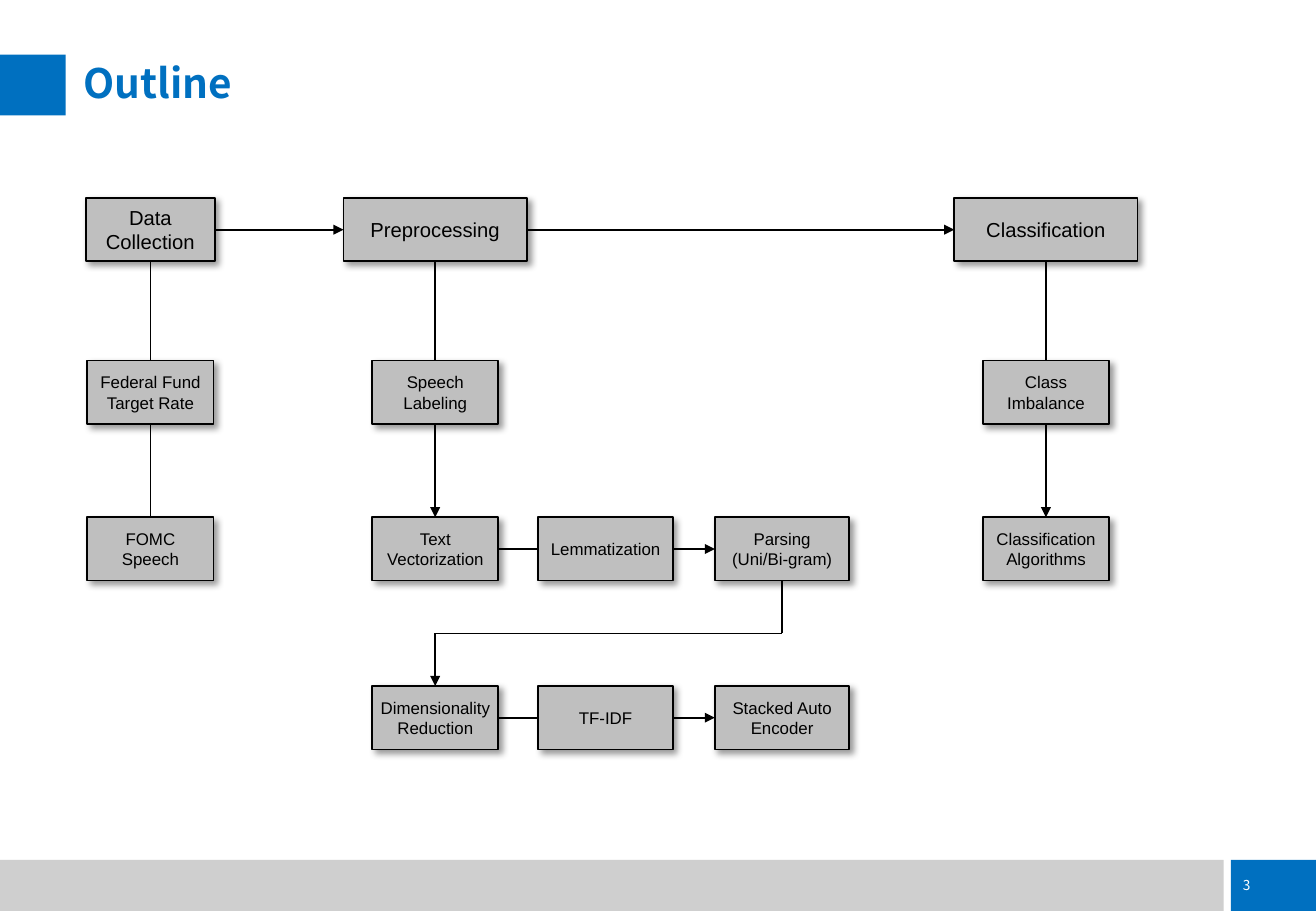
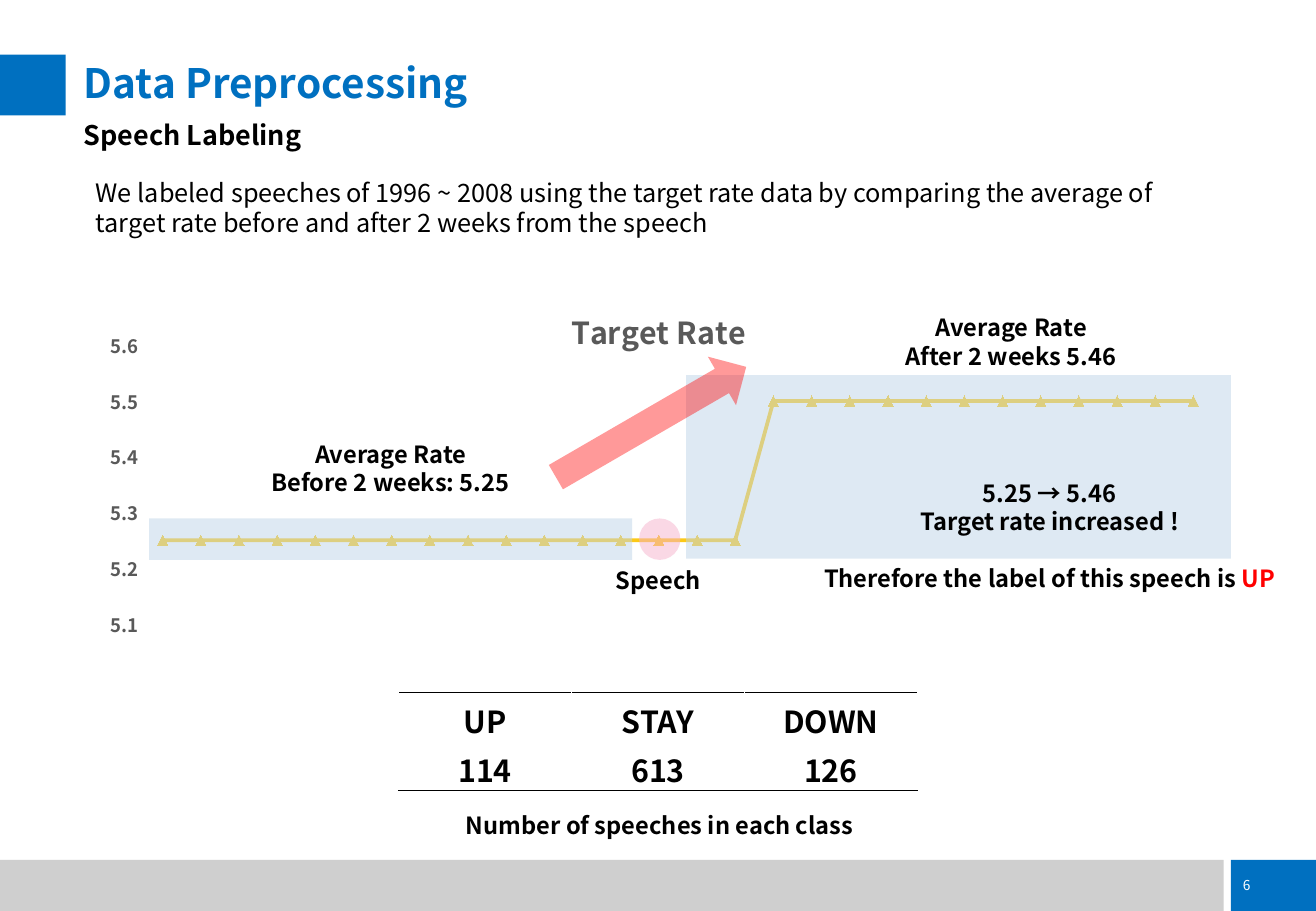
import pptx
import pptx.util
import pptx.dml.color
import pptx.chart.data
import pptx.enum.chart
import pptx.enum.dml
import pptx.enum.shapes
import pptx.enum.text
import pptx.oxml
import pptx.oxml.ns

SHAPE = pptx.enum.shapes.MSO_SHAPE
ALIGN = pptx.enum.text.PP_ALIGN
ANCHOR = pptx.enum.text.MSO_ANCHOR
FIT = pptx.enum.text.MSO_AUTO_SIZE
Pt = pptx.util.Pt
NS = pptx.oxml.ns.nsdecls("a", "c")

# Shared look
WIDE, HIGH = 10.83, 7.5
BLUE, BAND, GREY, INK, WHITE = "0070C0", "CFCFCF", "BFBFBF", "000000", "FFFFFF"
PALE, PINK, GOLD, RED, DIM = "BFD5E9", "F6B2CC", "FCC917", "FF0000", "595959"
SANS, ARIAL = "Noto Sans CJK KR", "Arial"
BOLD = {"name": SANS, "size": Pt(14), "bold": True}


def tint(hue):
    return pptx.dml.color.RGBColor.from_string(hue)


def fix(item, vals):
    for key, val in vals.items():
        setattr(item, key, val)


def emu(box):
    return [pptx.util.Inches(val) for val in box]


def part(box, left, top, wide, high):
    """Box at percent shares of another box."""
    x, y, w, h = box
    return x + w * left / 100, y + h * top / 100, w * wide / 100, h * high / 100


def node(tag, attrs="", body=""):
    return pptx.oxml.parse_xml(f"<{tag} {NS} {attrs}>{body}</{tag}>")


def ink(font, form, hue):
    fix(font, form)
    font.color.rgb = tint(hue)


def put(frame, lines, form, hue=INK, align=ALIGN.CENTER):
    """Fill a text frame, one paragraph a line."""
    for num, line in enumerate(lines):
        para = frame.add_paragraph() if num else frame.paragraphs[0]
        para.alignment = align
        run = para.add_run()
        run.text = line
        ink(run.font, form, hue)
    return frame


def block(slide, kind, box, hue, clear=None):
    shape = slide.shapes.add_shape(kind, *emu(box))
    shape.shadow.inherit = False
    shape.fill.solid()
    shape.fill.fore_color.rgb = tint(hue)
    shape.line.fill.background()
    if clear:
        shade = shape.element.spPr.find(".//" + pptx.oxml.ns.qn("a:srgbClr"))
        shade.append(node("a:alpha", f'val="{clear * 1000}"'))
    return shape


def label(slide, box, lines, form=BOLD, hue=INK, align=ALIGN.CENTER, **opts):
    frame = slide.shapes.add_textbox(*emu(box)).text_frame
    fix(frame, {"word_wrap": True, "auto_size": FIT.SHAPE_TO_FIT_TEXT, **opts})
    return put(frame, lines, form, hue, align)


def base(deck, title, page):
    """Bands, title and page number of every slide."""
    slide = deck.slides.add_slide(deck.slide_layouts[6])
    block(slide, SHAPE.RECTANGLE, (0, 7.08, 10.07, 0.42), BAND)
    badge = block(slide, SHAPE.RECTANGLE, (10.13, 7.08, 0.7, 0.42), BLUE)
    badge.text_frame.word_wrap = False
    put(badge.text_frame, [page], {"name": SANS, "size": Pt(8.1)}, WHITE, ALIGN.LEFT)
    block(slide, SHAPE.RECTANGLE, (0, 0.45, 0.54, 0.5), BLUE)
    head = label(slide, (0.69, 0.51, 9.76, 0.38), [title], {**BOLD, "size": Pt(24)},
                 BLUE, ALIGN.LEFT, **FLUSH)
    head.paragraphs[0].line_spacing = 0.9
    return slide


FLUSH = {"margin_left": 0, "margin_right": 0, "margin_top": 0, "margin_bottom": 0,
         "auto_size": FIT.NONE, "vertical_anchor": ANCHOR.MIDDLE}

# Flow grid: percent of the flow box
COLS = [6.1, 33.2, 49.4, 66.2, 91.3]
ROWS = [0, 29.5, 57.9, 88.5]
TALL = 11.5
# name: column, row, width, text size, lines
STEPS = {
    "data": (0, 0, 12.25, 12, ["Data Collection"]),
    "prep": (1, 0, 17.45, 12, ["Preprocessing"]),
    "class": (4, 0, 17.45, 12, ["Classification"]),
    "fund": (0, 1, 12, 10, ["Federal Fund Target Rate"]),
    "speech": (0, 2, 12, 10, ["FOMC Speech"]),
    "label": (1, 1, 12, 10, ["Speech Labeling"]),
    "vector": (1, 2, 12, 10, ["Text Vectorization"]),
    "lemma": (2, 2, 12.8, 10, ["Lemmatization"]),
    "gram": (3, 2, 12.8, 10, ["Parsing", "(Uni/Bi-gram)"]),
    "reduce": (1, 3, 12, 10, ["Dimensionality Reduction"]),
    "tfidf": (2, 3, 12.8, 10, ["TF-IDF"]),
    "coder": (3, 3, 12.8, 10, ["Stacked Auto Encoder"]),
    "skew": (4, 1, 12, 10, ["Class Imbalance"]),
    "algo": (4, 2, 12, 10, ["Classification Algorithms"]),
}
ACROSS = [("data", "prep", True), ("prep", "class", True),
          ("vector", "lemma", False), ("lemma", "gram", True),
          ("reduce", "tfidf", False), ("tfidf", "coder", True)]
DOWN = [("data", "fund", False), ("fund", "speech", False),
        ("prep", "label", False), ("label", "vector", True),
        ("class", "skew", False), ("skew", "algo", True)]


def side(shape, site):
    """Middle of a side: 0 top, 1 left, 2 bottom, 3 right."""
    dx, dy = [(1, 0), (0, 1), (1, 2), (2, 1)][site]
    return shape.left + shape.width * dx // 2, shape.top + shape.height * dy // 2


def link(slide, start, stop, arrow=False):
    """Line between ends, each a point or a (shape, site) pair."""
    held = [hasattr(end[0], "shape_id") for end in (start, stop)]
    spots = [side(*end) if on else end for end, on in zip((start, stop), held)]
    line = slide.shapes.add_connector(
        pptx.enum.shapes.MSO_CONNECTOR.STRAIGHT, *spots[0], *spots[1])
    if held[0]:
        line.begin_connect(*start)
    if held[1]:
        line.end_connect(*stop)
    line.line.width = Pt(1)
    line.line.color.rgb = tint(INK)
    if arrow:
        line.line._get_or_add_ln().append(node("a:tailEnd", 'type="triangle"'))
    line.element.spPr.append(node("a:effectLst"))


def flow(slide, box):
    """Flow chart of the steps."""
    made = {}
    for name, (col, row, wide, size, lines) in STEPS.items():
        spot = part(box, COLS[col] - wide / 2, ROWS[row], wide, TALL)
        step = made[name] = block(slide, SHAPE.RECTANGLE, spot, GREY)
        step.line.color.rgb = tint(INK)
        step.line.width = Pt(1)
        cast = step.element.spPr.find(pptx.oxml.ns.qn("a:effectLst"))
        cast.append(node(
            "a:outerShdw", f'blurRad="{Pt(4)}" dist="{Pt(3)}" dir="2700000" algn="tl" rotWithShape="0"',
            f'<a:srgbClr val="{INK}"><a:alpha val="40000"/></a:srgbClr>'))
        put(step.text_frame, lines, {"name": ARIAL, "size": Pt(size)})
    slim = pptx.util.Inches(0.06)
    fix(made["reduce"].text_frame, {"margin_left": slim, "margin_right": slim})

    # Links along rows and down columns
    for pairs, out, into in ((ACROSS, 3, 1), (DOWN, 2, 0)):
        for one, two, arrow in pairs:
            link(slide, (made[one], out), (made[two], into), arrow)

    # Return path from the third row to the fourth
    gram, low = made["gram"], made["reduce"]
    right, left = side(gram, 2)[0], side(low, 0)[0]
    mid = (side(gram, 2)[1] + side(low, 0)[1]) // 2
    link(slide, (gram, 2), (right, mid))
    link(slide, (left, mid), (right, mid))
    link(slide, (left, mid), (low, 0), True)


def layout(host, index, **vals):
    """Manual chart layout in shares of the chart."""
    for old in host.findall(pptx.oxml.ns.qn("c:layout")):
        host.remove(old)
    body = "".join(f'<c:{key} val="{val}"/>' for key, val in vals.items())
    host.insert(index, node("c:layout", "", f"<c:manualLayout>{body}</c:manualLayout>"))


def graph(slide, box):
    """Line chart of the target rate."""
    kinds = pptx.enum.chart
    data = pptx.chart.data.CategoryChartData()
    data.categories = [str(day) for day in range(1, 29)]
    data.add_series("Series 1", [5.25] * 16 + [5.5] * 12)
    chart = slide.shapes.add_chart(kinds.XL_CHART_TYPE.LINE_MARKERS, *emu(box), data).chart
    fix(chart, {"has_legend": False, "has_title": True})
    ink(chart.font, {"name": SANS, "size": Pt(10)}, INK)
    put(chart.chart_title.text_frame, ["Target Rate"], {**BOLD, "size": Pt(18)}, DIM)
    layout(chart.chart_title.element, 1, xMode="edge", yMode="edge", x=0.42, y=0.06)
    layout(chart.element.xpath(".//c:plotArea")[0], 0, layoutTarget="inner",
           xMode="edge", yMode="edge", x=0.052, y=0.16, w=0.932, h=0.618)

    fix(chart.category_axis, {"visible": False, "has_major_gridlines": False})
    axis = chart.value_axis
    none = kinds.XL_TICK_MARK.NONE
    fix(axis, {"minimum_scale": 5.1, "maximum_scale": 5.6, "major_unit": 0.1,
               "has_major_gridlines": False, "major_tick_mark": none, "minor_tick_mark": none})
    fix(axis.tick_labels, {"number_format": "0.0", "number_format_is_linked": False})
    ink(axis.tick_labels.font, {**BOLD, "size": Pt(11)}, DIM)
    axis.format.line.fill.background()

    chart.plots[0].vary_by_categories = False
    rate = chart.plots[0].series[0]
    rate.smooth = False
    rate.format.line.width = Pt(2.25)
    rate.format.line.color.rgb = tint(GOLD)
    fix(rate.marker, {"style": kinds.XL_MARKER_STYLE.TRIANGLE, "size": 6})
    rate.marker.format.fill.solid()
    rate.marker.format.fill.fore_color.rgb = tint(GOLD)
    rate.marker.format.line.color.rgb = tint(GOLD)


def notes(slide, box):
    """Marks and labels over the chart, in percent of its box."""
    block(slide, SHAPE.OVAL, part(box, 48.4, 54.4, 3.6, 9.2), PINK, 50)
    label(slide, part(box, 44.7, 63.6, 10.8, 9.2), ["Speech"])
    for spot in ((5.7, 54.4, 42.1, 9.2), (52.5, 22.6, 47.5, 40.7)):
        block(slide, SHAPE.RECTANGLE, part(box, *spot), PALE, 50)
    label(slide, part(box, 15.3, 35.6, 22.9, 15.4), ["Average Rate", "Before 2 weeks: 5.25"])
    label(slide, part(box, 68, 7.5, 25.7, 15.4), ["Average Rate", "After 2 weeks 5.46"])
    text = label(slide, part(box, 61, 44.2, 46.4, 28),
                 ["5.25 → 5.46", "Target rate increased !",
                  "Therefore the label of this speech is "])
    last = text.paragraphs[-1]
    last.space_before = Pt(17)
    word = last.add_run()
    word.text = "UP"
    ink(word.font, BOLD, RED)
    block(slide, SHAPE.UP_ARROW, part(box, 47, 8.6, 4.9, 48.8), RED, 40).rotation = 59.9


def count(slide, box):
    """Table of class counts, ruled above and below."""
    rows = [["UP", "STAY", "DOWN"], ["114", "613", "126"]]
    table = slide.shapes.add_table(2, 3, *emu(box)).table
    fix(table, {"first_row": False, "horz_banding": False})
    for row, (words, edge) in enumerate(zip(rows, ("lnT", "lnB"))):
        for col, word in enumerate(words):
            cell = table.cell(row, col)
            cell.fill.background()
            cell.vertical_anchor = ANCHOR.MIDDLE
            put(cell.text_frame, [word], {**BOLD, "size": Pt(18)})
            cell._tc.get_or_add_tcPr().insert(0, node(
                f"a:{edge}", f'w="{Pt(1)}"',
                f'<a:solidFill><a:srgbClr val="{INK}"/></a:solidFill>'))


def main():
    deck = pptx.Presentation()
    fix(deck, dict(zip(("slide_width", "slide_height"), emu((WIDE, HIGH)))))

    flow(base(deck, "Outline", "3"), (0.71, 1.63, 8.65, 4.54))

    slide = base(deck, "Data Preprocessing", "6")
    plot = (0.69, 2.25, 9.44, 3.71)
    graph(slide, plot)
    notes(slide, plot)
    label(slide, (0.69, 0.95, 9.76, 0.32), ["Speech Labeling"], {**BOLD, "size": Pt(16)},
          INK, ALIGN.LEFT, **FLUSH)
    label(slide, (0.69, 1.41, 9.44, 0.61),
          ["We labeled speeches of 1996 ~ 2008 using the target rate data by comparing "
           "the average of target rate before and after 2 weeks from the speech"],
          {"name": SANS, "size": Pt(15)}, INK, ALIGN.LEFT)
    count(slide, (3.28, 5.7, 4.27, 0.81))
    label(slide, (3.36, 6.63, 4.14, 0.34), ["Number of speeches in each class"])

    deck.save("out.pptx")


if __name__ == "__main__":
    main()
